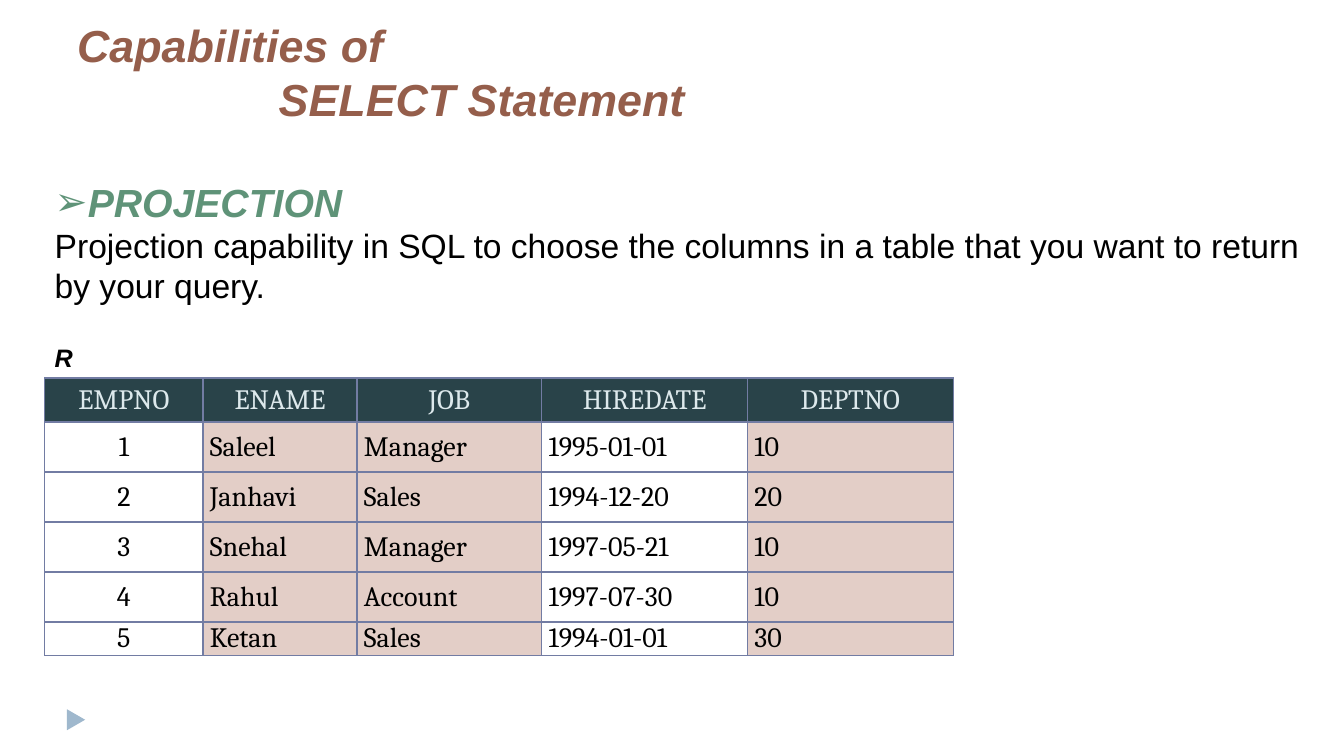
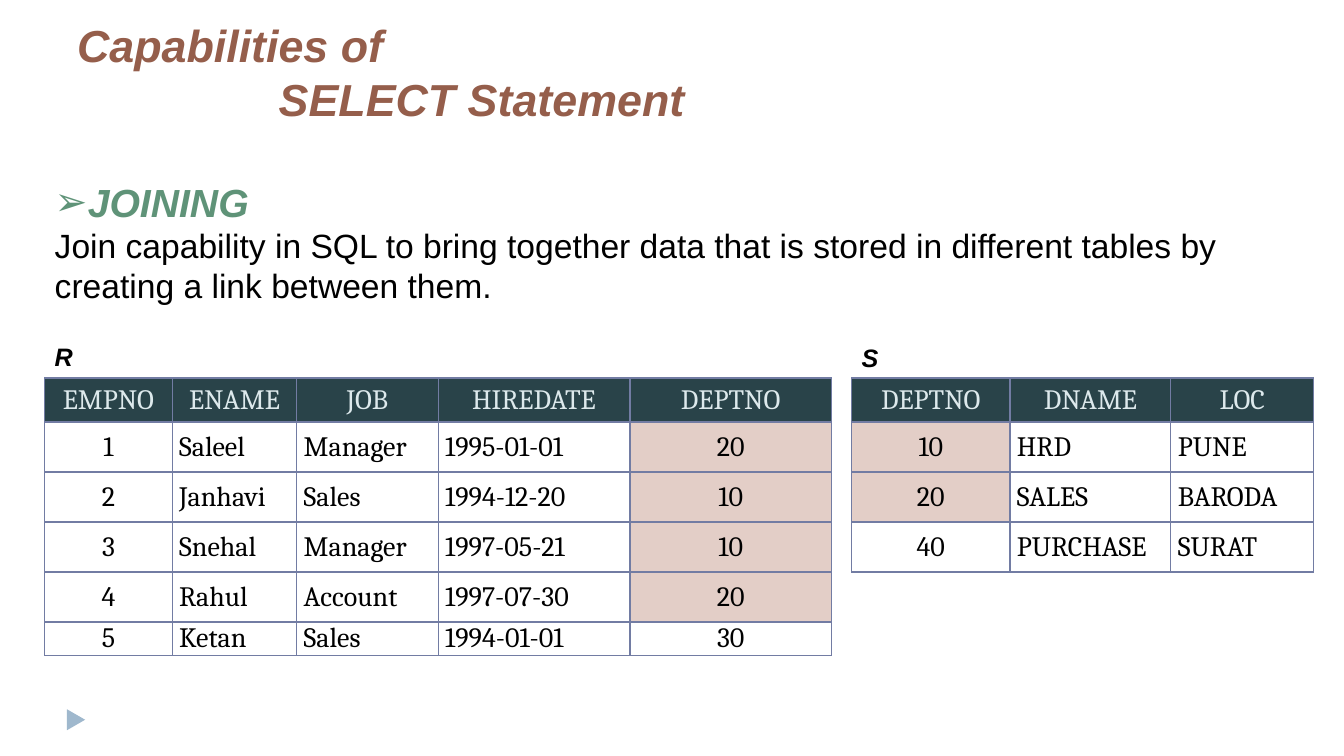
import lxml.etree
import pptx
import pptx.dml.color
import pptx.enum.shapes
import pptx.enum.text
import pptx.oxml.ns
import pptx.util

Pt = pptx.util.Pt
ALIGN = pptx.enum.text.PP_ALIGN
ANCHOR = pptx.enum.text.MSO_ANCHOR

COLOURS = {
    "title": "955E4B",
    "heading": "5F9378",
    "text": "000000",
    "header_fill": "294349",
    "header_text": "DDE9EC",
    "shade": "E3CEC7",
    "border": "727CA3",
    "marker": "9FB8CD",
}

LEFT = 32
TABLE_TOP = 270
HEADER_HEIGHT, ROW_HEIGHT, LAST_HEIGHT = 31.5, 35.7, 23.8

STAFF_HEADER = ["EMPNO", "ENAME", "JOB", "HIREDATE", "DEPTNO"]
STAFF = [
    ["1", "Saleel", "Manager", "1995-01-01"],
    ["2", "Janhavi", "Sales", "1994-12-20"],
    ["3", "Snehal", "Manager", "1997-05-21"],
    ["4", "Rahul", "Account", "1997-07-30"],
    ["5", "Ketan", "Sales", "1994-01-01"],
]
STAFF_HEIGHTS = [HEADER_HEIGHT] + [ROW_HEIGHT] * 4 + [LAST_HEIGHT]

DEPARTMENTS = [
    ["DEPTNO", "DNAME", "LOC"],
    ["10", "HRD", "PUNE"],
    ["20", "SALES", "BARODA"],
    ["40", "PURCHASE", "SURAT"],
]
DEPARTMENT_HEIGHTS = [HEADER_HEIGHT] + [ROW_HEIGHT] * 3


def colour(name):
    return pptx.dml.color.RGBColor.from_string(COLOURS[name])


def add_child(parent, tag, **attributes):
    return lxml.etree.SubElement(parent, pptx.oxml.ns.qn(tag), attributes)


def staff_rows(departments):
    return [STAFF_HEADER] + [row + [number] for row, number in zip(STAFF, departments)]


class Deck:
    def __init__(self):
        self.deck = pptx.Presentation()
        self.deck.slide_width, self.deck.slide_height = Pt(960), Pt(540)
        self.page = None

    def add_page(self, heading, description):
        self.page = self.deck.slides.add_slide(self.deck.slide_layouts[6])
        self.marker()
        self.title("Capabilities of", "SELECT Statement")
        self.body(heading, description)

    def marker(self):
        triangle = self.page.shapes.add_shape(
            pptx.enum.shapes.MSO_SHAPE.ISOSCELES_TRIANGLE,
            Pt(46.8), Pt(507.6), Pt(15), Pt(13))
        triangle.rotation = 90
        triangle.shadow.inherit = False
        triangle.fill.solid()
        triangle.fill.fore_color.rgb = colour("marker")
        triangle.line.fill.background()

    def text_frame(self, left, top, width, height):
        box = self.page.shapes.add_textbox(Pt(left), Pt(top), Pt(width), Pt(height))
        box.text_frame.word_wrap = True
        return box.text_frame

    def span(self, para, text, size, tint, font="Arial", strong=False):
        span = para.add_run()
        span.text = text
        span.font.name = font
        span.font.size = Pt(size)
        span.font.color.rgb = colour(tint)
        span.font.bold = span.font.italic = strong

    def title(self, first, second):
        frame = self.text_frame(48, 21, 864, 72)
        frame.vertical_anchor = ANCHOR.BOTTOM
        self.span(frame.paragraphs[0], first, 32, "title", strong=True)
        para = frame.add_paragraph()
        para._p.get_or_add_pPr().set("marL", str(Pt(144)))
        self.span(para, second, 32, "title", strong=True)

    def body(self, heading, description):
        frame = self.text_frame(LEFT, 90, 904, 133)
        para = frame.paragraphs[0]
        para.line_spacing = 2.0
        settings = para._p.get_or_add_pPr()
        settings.set("marL", str(Pt(23.6)))
        settings.set("indent", str(-Pt(23.6)))
        add_child(settings, "a:buFont", typeface="Arial")
        add_child(settings, "a:buChar", char="➢")
        self.span(para, heading, 28, "heading", strong=True)
        self.span(frame.add_paragraph(), description, 24, "text")

    def label(self, text, left, top=241):
        frame = self.text_frame(left, top, 31, 29)
        self.span(frame.paragraphs[0], text, 18, "text", strong=True)

    def borders(self, cell):
        settings = cell._tc.get_or_add_tcPr()
        for side in "LRTB":
            line = add_child(settings, "a:ln" + side, w=str(Pt(1)))
            fill = add_child(line, "a:solidFill")
            add_child(fill, "a:srgbClr", val=COLOURS["border"])

    def cell(self, cell, text, fill, tint, centred):
        cell.margin_left = cell.margin_right = Pt(5)
        cell.margin_top = cell.margin_bottom = 0
        cell.vertical_anchor = ANCHOR.MIDDLE
        self.borders(cell)
        if fill:
            cell.fill.solid()
            cell.fill.fore_color.rgb = colour(fill)
        else:
            cell.fill.background()
        para = cell.text_frame.paragraphs[0]
        para.alignment = ALIGN.CENTER if centred else ALIGN.LEFT
        self.span(para, text, 20, tint, font="Cambria")

    def table(self, left, rows, widths, heights, centred, shaded, last_shaded):
        table = self.page.shapes.add_table(
            len(rows), len(widths), Pt(left), Pt(TABLE_TOP),
            Pt(sum(widths)), Pt(sum(heights))).table
        table.first_row = table.horz_banding = False
        for column, width in zip(table.columns, widths):
            column.width = Pt(width)
        for row, height in zip(table.rows, heights):
            row.height = Pt(height)
        for r, values in enumerate(rows):
            for c, text in enumerate(values):
                if r == 0:
                    style = ("header_fill", "header_text", True)
                else:
                    fill = "shade" if c in shaded and r <= last_shaded else None
                    style = (fill, "text", c in centred)
                self.cell(table.cell(r, c), text, *style)


def main():
    deck = Deck()

    deck.add_page(
        "PROJECTION",
        "Projection capability in SQL to choose the columns in a table "
        "that you want to return by your query.")
    deck.table(LEFT, staff_rows(["10", "20", "10", "10", "30"]),
               [113, 110, 132, 147, 147], STAFF_HEIGHTS,
               centred={0}, shaded={1, 2, 4}, last_shaded=5)
    deck.label("R", LEFT)

    deck.add_page(
        "JOINING",
        "Join capability in SQL to bring together data that is stored in "
        "different tables by creating a link between them.")
    deck.table(LEFT, staff_rows(["20", "10", "10", "20", "30"]),
               [91, 89, 101, 137, 144], STAFF_HEIGHTS,
               centred={0, 4}, shaded={4}, last_shaded=4)
    deck.table(608.4, DEPARTMENTS, [113, 115, 102], DEPARTMENT_HEIGHTS,
               centred={0}, shaded={0}, last_shaded=2)
    deck.label("R", LEFT, 240)
    deck.label("S", 608.4)

    deck.deck.save("out.pptx")


if __name__ == "__main__":
    main()
